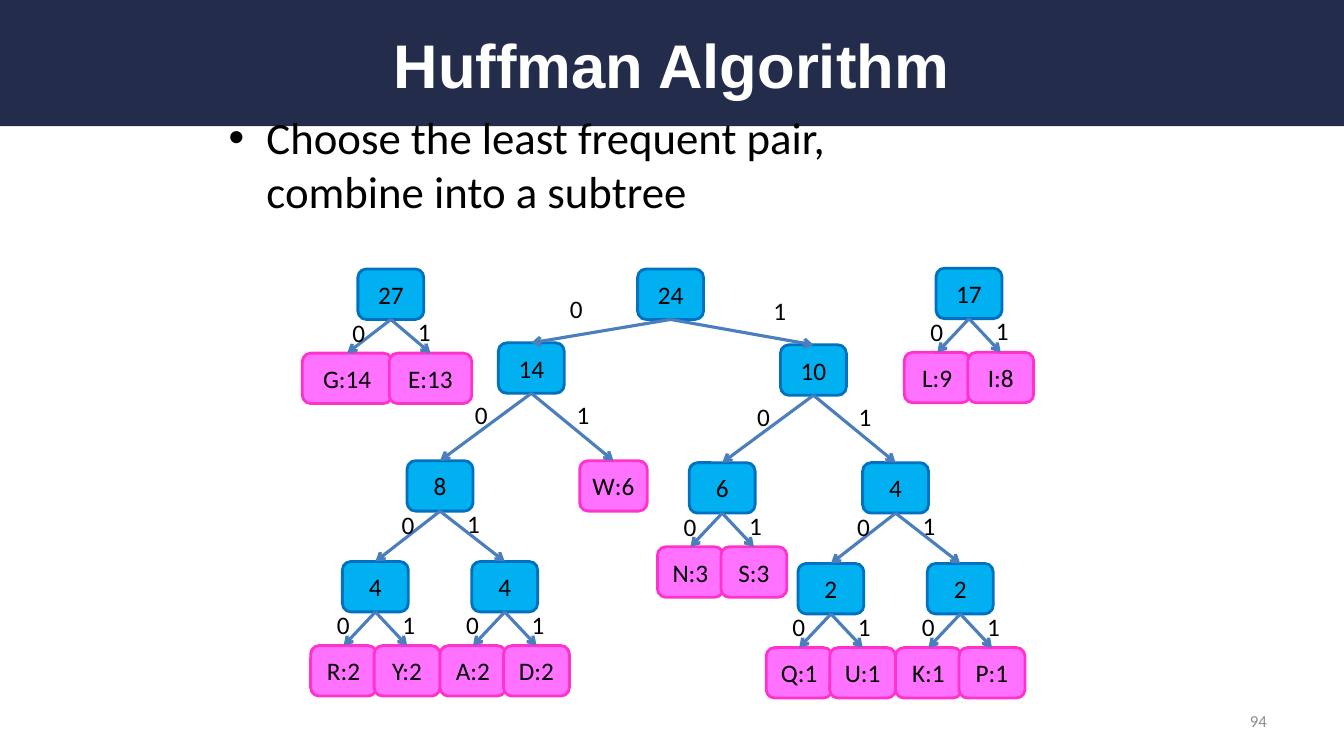
"""Build the Huffman Algorithm slide with its forest of code trees."""
import dataclasses
import typing

import pptx
import pptx.dml.color
import pptx.enum.shapes
import pptx.enum.text
import pptx.oxml
import pptx.oxml.ns
import pptx.util
from pptx.util import Cm

ALIGN = pptx.enum.text.PP_ALIGN
MIDDLE = pptx.enum.text.MSO_ANCHOR.MIDDLE
TOP_SITE, BOTTOM_SITE = 0, 2


@dataclasses.dataclass(frozen=True)
class Theme:
    """Colours, fonts and type sizes of the slide."""
    band: str = "232D4B"
    heading: str = "FFFFFF"
    ink: str = "000000"
    page: str = "8C8C8C"
    inner_fill: str = "00B0F0"
    inner_line: str = "0070C0"
    leaf_fill: str = "FF71FF"
    leaf_line: str = "FF33CC"
    edge: str = "4B7EBC"
    heading_font: str = "Arial"
    text_font: str = "Calibri"
    heading_size: int = 44
    body_size: int = 32
    tree_size: int = 18
    page_size: int = 12
    node_line: float = 2
    edge_line: float = 2.25


THEME = Theme()


@dataclasses.dataclass(frozen=True)
class Split:
    """Offsets in cm from a node to its two children and two bit labels."""
    spread: tuple
    drop: tuple
    bits: tuple = ((-1.22, -0.18), (0.43, -0.2))


@dataclasses.dataclass(frozen=True)
class Node:
    """A tree node; a leaf has no split and no children."""
    text: str
    split: typing.Optional[Split] = None
    children: tuple = ()
    width: float = 1.66


NODE_HEIGHT = 1.27
PAIR = Split((-0.8, 0.8), (2.12, 2.12))
WIDE_PAIR = Split((-1.1, 1), (2.12, 2.12))
FORK = Split((-1.63, 1.63), (2.54, 2.54))
BRANCH = Split((-2.3, 2.07), (2.97, 2.97), ((-1.67, 0.03), (0.89, 0.03)))
CROWN = Split((-3.51, 3.6), (1.86, 1.91), ((-2.79, -0.79), (2.34, -0.74)))


def pair(total, zero, one):
    """Return a node that joins two leaves."""
    return Node(total, PAIR, (Node(zero), Node(one)))


EIGHT = Node("8", FORK, (pair("4", "R:2", "Y:2"), pair("4", "A:2", "D:2")))
FOUR = Node("4", FORK, (pair("2", "Q:1", "U:1"), pair("2", "K:1", "P:1")))
FOURTEEN = Node("14", BRANCH, (EIGHT, Node("W:6", width=1.7)))
TEN = Node("10", BRANCH, (pair("6", "N:3", "S:3"), FOUR))
FOREST = (
    (pair("17", "L:9", "I:8"), 24.42, 6.76),
    (Node("27", WIDE_PAIR, (Node("G:14", width=2.26), Node("E:13", width=2.08))), 9.85, 6.78),
    (Node("24", CROWN, (FOURTEEN, TEN)), 16.9, 6.78),
)


def rgb(value):
    """Return a colour from its hex code."""
    return pptx.dml.color.RGBColor.from_string(value)


def write(paragraph, text, size, color=THEME.ink, font=THEME.text_font, bold=False):
    """Add one formatted run to a paragraph."""
    run = paragraph.add_run()
    run.text = text
    run.font.size = pptx.util.Pt(size)
    run.font.name = font
    run.font.bold = bold
    run.font.color.rgb = rgb(color)


def place(shape, left, top, width, height):
    """Move and size a shape, in cm."""
    shape.left, shape.top = Cm(left), Cm(top)
    shape.width, shape.height = Cm(width), Cm(height)


def add_heading(slide):
    """Fill the title over its dark band."""
    heading = slide.shapes.title
    band = slide.shapes.add_shape(
        pptx.enum.shapes.MSO_SHAPE.RECTANGLE, 0, 0, Cm(33.87), Cm(3.18))
    band.shadow.inherit = False
    band.fill.solid()
    band.fill.fore_color.rgb = rgb(THEME.band)
    band.line.fill.background()
    heading.element.addprevious(band.element)
    place(heading, 1.69, 0.43, 30.48, 2.34)
    frame = heading.text_frame
    frame.auto_size = pptx.enum.text.MSO_AUTO_SIZE.NONE
    frame.vertical_anchor = MIDDLE
    frame.paragraphs[0].alignment = ALIGN.CENTER
    write(frame.paragraphs[0], "Huffman Algorithm", THEME.heading_size,
          THEME.heading, THEME.heading_font, True)


def add_rule(slide):
    """Fill the body with the bulleted rule."""
    rule = slide.placeholders[1]
    place(rule, 5.51, 2.54, 18.8, 3.18)
    frame = rule.text_frame
    frame.auto_size = pptx.enum.text.MSO_AUTO_SIZE.NONE
    frame.vertical_anchor = MIDDLE
    paragraph = frame.paragraphs[0]
    paragraph.space_before = pptx.util.Pt(0)
    properties = paragraph._p.get_or_add_pPr()
    properties.set("marL", str(Cm(0.95)))
    properties.set("indent", str(Cm(-0.95)))
    for tag, key, value in (("buFont", "typeface", "Arial"), ("buChar", "char", "•")):
        bullet = pptx.oxml.ns.qn("a:" + tag)
        properties.append(properties.makeelement(bullet, {key: value}))
    write(paragraph, "Choose the least frequent pair, combine into a subtree", THEME.body_size)


def add_page_number(slide):
    """Write the page number at the bottom right."""
    page = slide.shapes.add_textbox(Cm(24.28), Cm(17.65), Cm(7.9), Cm(1.02))
    page.text_frame.word_wrap = True
    page.text_frame.vertical_anchor = MIDDLE
    page.text_frame.paragraphs[0].alignment = ALIGN.RIGHT
    write(page.text_frame.paragraphs[0], "94", THEME.page_size, THEME.page)


def add_node(shapes, node, center, top):
    """Draw the rounded box of one node."""
    box = shapes.add_shape(
        pptx.enum.shapes.MSO_SHAPE.ROUNDED_RECTANGLE,
        Cm(center - node.width / 2), Cm(top), Cm(node.width), Cm(NODE_HEIGHT))
    box.shadow.inherit = False
    box.fill.solid()
    box.fill.fore_color.rgb = rgb(THEME.inner_fill if node.children else THEME.leaf_fill)
    box.line.color.rgb = rgb(THEME.inner_line if node.children else THEME.leaf_line)
    box.line.width = pptx.util.Pt(THEME.node_line)
    frame = box.text_frame
    frame.margin_left = frame.margin_right = 0
    frame.vertical_anchor = MIDDLE
    frame.paragraphs[0].alignment = ALIGN.CENTER
    write(frame.paragraphs[0], node.text, THEME.tree_size)
    return box


def add_edge(shapes, parent, child):
    """Join a parent to a child with an arrow."""
    edge = shapes.add_connector(
        pptx.enum.shapes.MSO_CONNECTOR.STRAIGHT,
        parent.left + parent.width // 2, parent.top + parent.height,
        child.left + child.width // 2, child.top)
    edge.begin_connect(parent, BOTTOM_SITE)
    edge.end_connect(child, TOP_SITE)
    edge.line.color.rgb = rgb(THEME.edge)
    edge.line.width = pptx.util.Pt(THEME.edge_line)
    pptx.oxml.ns.qn("a:ln")
    outline = edge.line._get_or_add_ln()
    outline.append(outline.makeelement(pptx.oxml.ns.qn("a:tailEnd"), {"type": "arrow"}))
    outline.addnext(outline.makeelement(pptx.oxml.ns.qn("a:effectLst"), {}))


def add_bit(shapes, bit, left, top):
    """Write the code bit beside an edge."""
    label = shapes.add_textbox(Cm(left), Cm(top), Cm(0.84), Cm(1.02))
    label.text_frame.word_wrap = False
    label.text_frame.auto_size = pptx.enum.text.MSO_AUTO_SIZE.SHAPE_TO_FIT_TEXT
    write(label.text_frame.paragraphs[0], bit, THEME.tree_size)


def add_tree(shapes, node, center, top):
    """Draw a subtree from its leaves up and return its root box."""
    split = node.split
    branches = [add_tree(shapes, child, center + split.spread[bit], top + split.drop[bit])
                for bit, child in enumerate(node.children)]
    root = add_node(shapes, node, center, top)
    for bit, branch in enumerate(branches):
        add_edge(shapes, root, branch)
        right, down = split.bits[bit]
        add_bit(shapes, str(bit), center + right, top + NODE_HEIGHT + down)
    return root


def main():
    """Build and save the slide."""
    deck = pptx.Presentation()
    deck.slide_width, deck.slide_height = Cm(33.87), Cm(19.05)
    slide = deck.slides.add_slide(deck.slide_layouts[1])
    add_heading(slide)
    add_rule(slide)
    add_page_number(slide)
    for tree, center, top in FOREST:
        add_tree(slide.shapes.add_group_shape().shapes, tree, center, top)
    deck.save("out.pptx")


if __name__ == "__main__":
    main()
